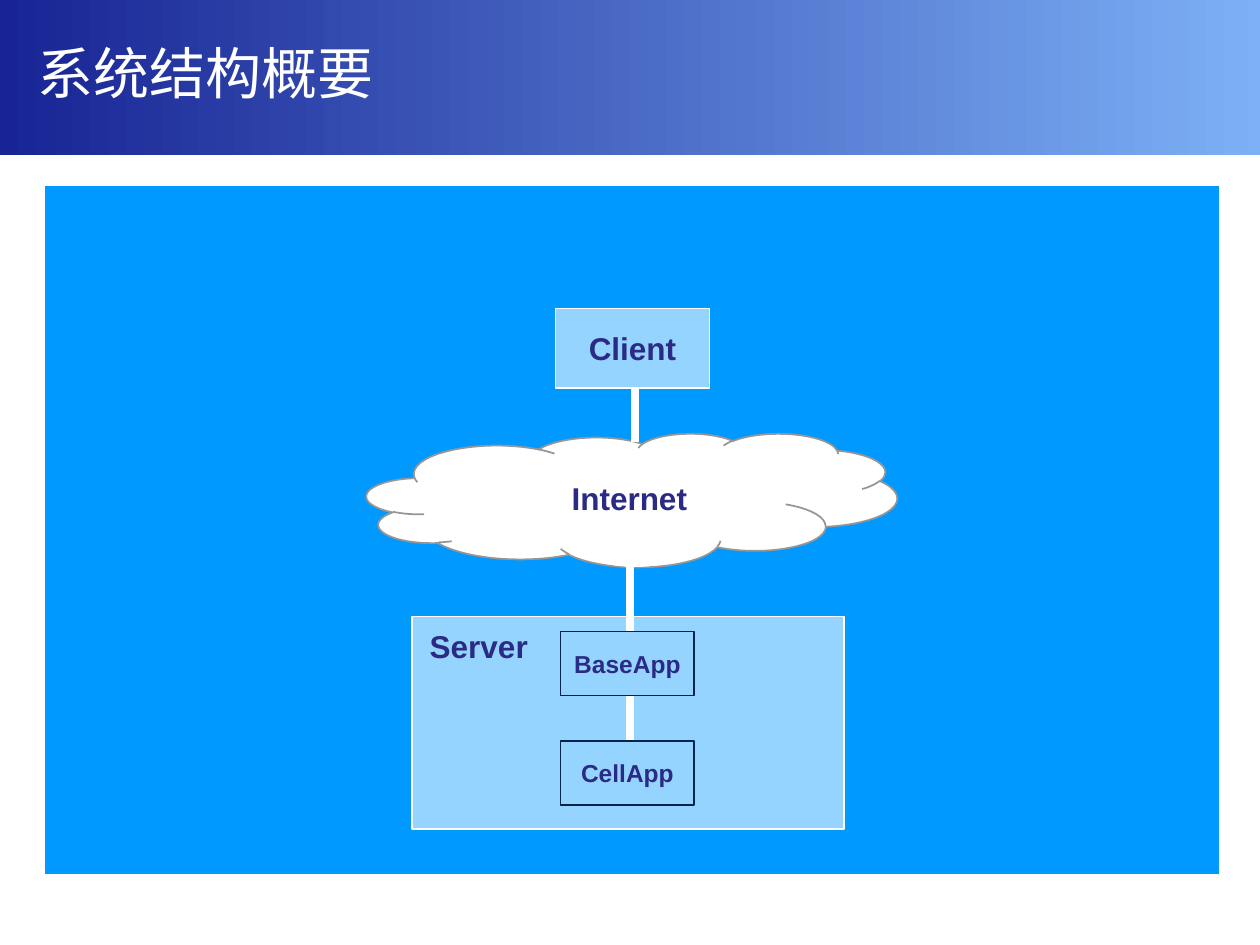
from dataclasses import dataclass
from typing import Optional

from lxml import etree
from pptx import Presentation
from pptx.dml.color import RGBColor
from pptx.enum.shapes import MSO_CONNECTOR, MSO_SHAPE
from pptx.enum.text import MSO_ANCHOR, MSO_AUTO_SIZE, PP_ALIGN
from pptx.oxml.ns import qn
from pptx.util import Emu, Inches, Pt

RECTANGLE = MSO_SHAPE.RECTANGLE
OVAL = MSO_SHAPE.OVAL
CLOUD = MSO_SHAPE.CLOUD_CALLOUT
STRAIGHT = MSO_CONNECTOR.STRAIGHT
MIDDLE = MSO_ANCHOR.MIDDLE
LEFT = PP_ALIGN.LEFT
CENTER = PP_ALIGN.CENTER
NO_AUTOFIT = MSO_AUTO_SIZE.NONE

WHITE = RGBColor(0xFF, 0xFF, 0xFF)
DEEP_BLUE = RGBColor(0x18, 0x24, 0x94)
LIGHT_BLUE = RGBColor(0x7C, 0xB0, 0xF6)
PANEL_BLUE = RGBColor(0x00, 0x99, 0xFF)
NODE_BLUE = RGBColor(0x95, 0xD4, 0xFF)
NAVY = RGBColor(0x00, 0x25, 0x4A)
INDIGO = RGBColor(0x2B, 0x2B, 0x85)
GREY = RGBColor(0x96, 0x96, 0x96)

SLIDE_WIDTH, SLIDE_HEIGHT = Inches(10), Inches(7.5)
COLUMNS, ROWS = 100, 75
TITLE_FONT, LABEL_FONT = "DejaVu Sans", "Arial"


@dataclass(frozen=True)
class Area:
    column: float
    row: float
    columns: float
    rows: float


@dataclass(frozen=True)
class Node:
    label: str
    area: Area
    outline: RGBColor
    size: int


@dataclass(frozen=True)
class Link:
    column: float
    top: float
    bottom: float


CLIENT = Node("Client", Area(44.1, 24.5, 12.2, 6.3), WHITE, 18)
APPS = [
    Node(name, Area(44.5, 50.1 + 8.7 * index, 10.6, 5.1), NAVY, 14)
    for index, name in enumerate(("BaseApp", "CellApp"))
]
LINKS = [Link(50.4, 30.8, 35.1), Link(50, 44.6, 50.1), Link(50, 55.2, 58.8)]


def across(columns: float) -> Emu:
    return Emu(round(SLIDE_WIDTH * columns / COLUMNS))


def down(rows: float) -> Emu:
    return Emu(round(SLIDE_HEIGHT * rows / ROWS))


def frame(area: Area) -> tuple:
    return across(area.column), down(area.row), across(area.columns), down(area.rows)


def add_block(slide, kind, area: Area, fill: RGBColor,
              outline: Optional[RGBColor] = None, weight: float = 0.75):
    block = slide.shapes.add_shape(kind, *frame(area))
    block.shadow.inherit = False
    block.fill.solid()
    block.fill.fore_color.rgb = fill
    if outline is None:
        block.line.fill.background()
    else:
        block.line.color.rgb = outline
        block.line.width = Pt(weight)
    return block


def write(text_frame, text: str, size: int, font: str = LABEL_FONT,
          color: RGBColor = INDIGO, bold: bool = True, align=CENTER) -> None:
    text_frame.word_wrap = True
    text_frame.auto_size = NO_AUTOFIT
    text_frame.vertical_anchor = MIDDLE
    paragraph = text_frame.paragraphs[0]
    paragraph.alignment = align
    run = paragraph.add_run()
    run.text = text
    run.font.name = font
    run.font.size = Pt(size)
    run.font.bold = bold
    run.font.color.rgb = color


def add_label(slide, text: str, area: Area) -> None:
    write(slide.shapes.add_textbox(*frame(area)).text_frame, text, 18)


def add_node(slide, node: Node) -> None:
    block = add_block(slide, RECTANGLE, node.area, NODE_BLUE, node.outline)
    block.text_frame.margin_left = block.text_frame.margin_right = 0
    write(block.text_frame, node.label, node.size)


def add_link(slide, link: Link) -> None:
    column = across(link.column)
    connector = slide.shapes.add_connector(
        STRAIGHT, column, down(link.top), column, down(link.bottom))
    connector.line.color.rgb = WHITE
    connector.line.width = Pt(4.5)
    etree.SubElement(connector._element.spPr, qn("a:effectLst"))


def add_header(slide) -> None:
    band = add_block(slide, RECTANGLE, Area(0, 0, COLUMNS, 12.3), DEEP_BLUE)
    band.fill.gradient()
    band.fill.gradient_angle = 0
    for stop, color in zip(band.fill.gradient_stops, (DEEP_BLUE, LIGHT_BLUE)):
        stop.color.rgb = color
    title = slide.shapes.title
    title.left, title.top, title.width, title.height = frame(Area(2, 0, 95.7, 11.5))
    write(title.text_frame, "系统结构概要", 32, TITLE_FONT, WHITE, False, LEFT)
    band._element.addnext(title._element)


def add_internet(slide) -> None:
    cloud = add_block(slide, CLOUD, Area(29.1, 34.4, 42.1, 10.6), WHITE, GREY, 1)
    cloud.adjustments[0] = 0
    cloud.adjustments[1] = 0.135
    add_block(slide, OVAL, Area(45.3, 40.3, 10.2, 4.7), WHITE)
    add_label(slide, "Internet", Area(40.9, 37.5, 18.1, 4))


def main() -> None:
    deck = Presentation()
    deck.slide_width, deck.slide_height = SLIDE_WIDTH, SLIDE_HEIGHT
    slide = deck.slides.add_slide(deck.slide_layouts.get_by_name("Title Only"))
    add_header(slide)
    add_block(slide, RECTANGLE, Area(3.5, 14.7, 93.3, 54.7), PANEL_BLUE, WHITE)
    add_node(slide, CLIENT)
    add_block(slide, RECTANGLE, Area(32.7, 48.9, 34.3, 16.9), NODE_BLUE, WHITE)
    add_label(slide, "Server", Area(33.1, 49.3, 9.8, 4))
    add_internet(slide)
    for link in LINKS:
        add_link(slide, link)
    for app in APPS:
        add_node(slide, app)
    deck.save("out.pptx")


if __name__ == "__main__":
    main()
